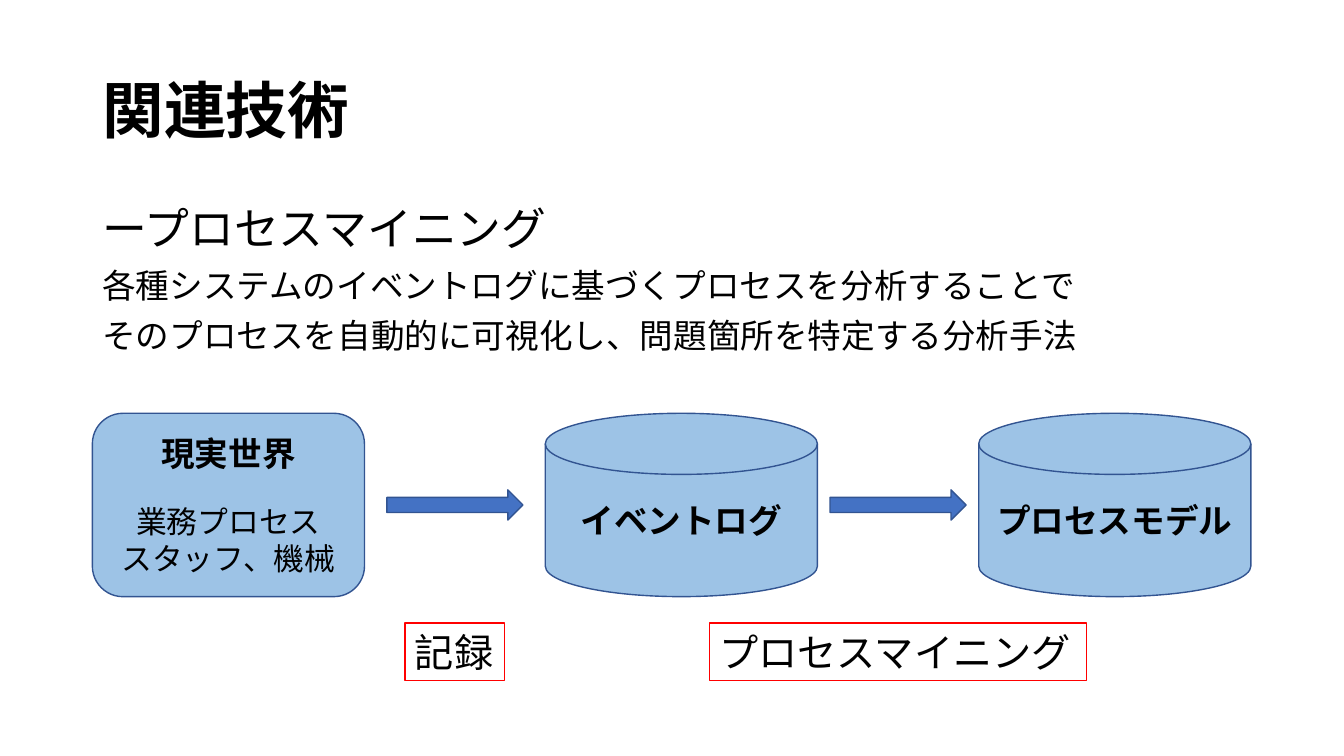
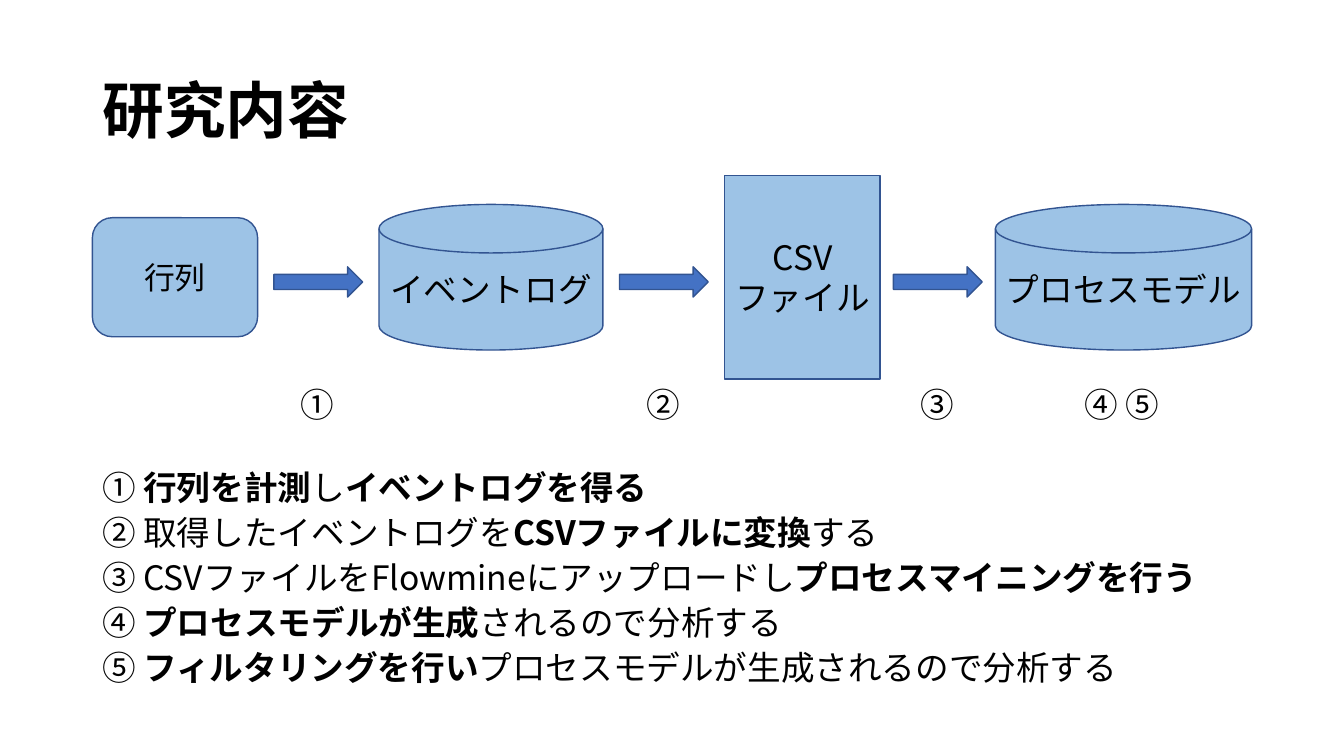
from dataclasses import dataclass

from lxml import etree
from pptx import Presentation
from pptx.dml.color import RGBColor
from pptx.enum.shapes import MSO_SHAPE as Shape
from pptx.enum.text import MSO_ANCHOR as Anchor, MSO_AUTO_SIZE as AutoSize, PP_ALIGN as Align
from pptx.oxml.ns import qn
from pptx.util import Pt


@dataclass(frozen=True)
class Theme:
    font: str = "Noto Sans CJK JP"
    ink: RGBColor = RGBColor(0x00, 0x00, 0x00)
    paper: RGBColor = RGBColor(0xFF, 0xFF, 0xFF)
    node: RGBColor = RGBColor(0x9D, 0xC3, 0xE6)
    arrow: RGBColor = RGBColor(0x44, 0x72, 0xC4)
    outline: RGBColor = RGBColor(0x32, 0x54, 0x91)
    accent: RGBColor = RGBColor(0xFF, 0x00, 0x00)
    title: int = 44
    heading: int = 32
    tag: int = 28
    body: int = 24
    small: int = 22


@dataclass(frozen=True)
class Node:
    kind: Shape
    left: float
    width: float
    height: float
    lines: tuple
    size: int = Theme.body


class Builder:
    """Holds the theme, the deck and the current page."""

    LEFT, WIDTH = 66, 828
    ARROW_HEIGHT = 21.6

    def __init__(self, theme):
        self.theme = theme
        self.deck = Presentation()
        self.deck.slide_width, self.deck.slide_height = Pt(960), Pt(540)
        self.page = None

    def start(self, title):
        self.page = self.deck.slides.add_slide(self.deck.slide_layouts[5])
        box = self.page.shapes.title
        box.left, box.top = Pt(self.LEFT), Pt(28.8)
        box.width, box.height = Pt(self.WIDTH), Pt(104.4)
        box.text_frame.vertical_anchor = Anchor.MIDDLE
        box.text_frame.auto_size = AutoSize.NONE
        self.fill_text(box.text_frame, [f"*{title}*"], self.theme.title, spacing=0.9)

    def fill_text(self, frame, lines, size, align=Align.LEFT, spacing=None):
        """Fill a frame with one paragraph a line; text between asterisks is bold."""
        for number, line in enumerate(lines):
            para = frame.add_paragraph() if number else frame.paragraphs[0]
            para.alignment = align
            para.line_spacing = spacing
            for index, part in enumerate(line.split("*")):
                if part:
                    span = para.add_run()
                    span.text = part
                    self.style(span, size, index % 2 == 1)
        return frame.paragraphs

    def style(self, span, size, bold):
        font = span.font
        font.name, font.size, font.bold = self.theme.font, Pt(size), bold
        font.color.rgb = self.theme.ink
        east_asian = etree.SubElement(span._r.get_or_add_rPr(), qn("a:ea"))
        east_asian.set("typeface", self.theme.font)

    def text(self, left, top, width, height, lines, size, wrap=True, spacing=None):
        box = self.page.shapes.add_textbox(Pt(left), Pt(top), Pt(width), Pt(height))
        box.text_frame.word_wrap = wrap
        return self.fill_text(box.text_frame, lines, size, spacing=spacing)

    def shape(self, kind, left, top, width, height, fill, line):
        shape = self.page.shapes.add_shape(kind, Pt(left), Pt(top), Pt(width), Pt(height))
        shape.shadow.inherit = False
        shape.fill.solid()
        shape.fill.fore_color.rgb = fill
        shape.line.color.rgb = line
        shape.line.width = Pt(1)
        shape.text_frame.vertical_anchor = Anchor.MIDDLE
        return shape

    def tag(self, center, width, text):
        box = self.shape(Shape.RECTANGLE, center - width / 2, 445, width, 41,
                         self.theme.paper, self.theme.accent)
        box.text_frame.word_wrap = False
        self.fill_text(box.text_frame, [text], self.theme.tag)

    def label(self, center, width, text):
        self.text(center - width / 2, 270.6, width, 36, [text], self.theme.body, wrap=False)

    def flow(self, nodes, middle, arrow_width, arrow_middle):
        """Draw a row of nodes with an arrow centred in each gap.

        Returns the paragraphs of each node and the centre of each arrow.
        """
        theme = self.theme
        texts = []
        for node in nodes:
            shape = self.shape(node.kind, node.left, middle - node.height / 2,
                               node.width, node.height, theme.node, theme.outline)
            texts.append(self.fill_text(shape.text_frame, node.lines, node.size, Align.CENTER))
        centers = [(a.left + a.width + b.left) / 2 for a, b in zip(nodes, nodes[1:])]
        for center in centers:
            self.shape(Shape.RIGHT_ARROW, center - arrow_width / 2,
                       arrow_middle - self.ARROW_HEIGHT / 2, arrow_width,
                       self.ARROW_HEIGHT, theme.arrow, theme.outline)
        return texts, centers


def related_work(builder):
    theme = builder.theme
    builder.start("関連技術")

    # Description
    paras = builder.text(builder.LEFT, 144, builder.WIDTH, 140, [
        "ープロセスマイニング",
        "各種システムのイベントログに基づくプロセスを分析することで",
        "そのプロセスを自動的に可視化し、問題箇所を特定する分析手法",
    ], theme.body, spacing=0.9)
    for para in paras:
        para.space_before = Pt(10)
    paras[0].runs[0].font.size = Pt(theme.heading)

    # Flow from the real world to the model
    size = 194.4, 131
    texts, centers = builder.flow([
        Node(Shape.ROUNDED_RECTANGLE, builder.LEFT, *size,
             ("*現実世界*", "業務プロセス", "スタッフ、機械"), theme.small),
        Node(Shape.FLOWCHART_MAGNETIC_DISK, 389.5, *size, ("*イベントログ*",)),
        Node(Shape.FLOWCHART_MAGNETIC_DISK, 699.1, *size, ("*プロセスモデル*",)),
    ], middle=360.7, arrow_width=97.2, arrow_middle=360.7)
    world = texts[0]
    world[0].runs[0].font.size = Pt(theme.body)
    world[1].space_before = Pt(21)

    # Names of the two steps
    for center, width, name in zip(centers, (71.3, 269.3), ("記録", "プロセスマイニング")):
        builder.tag(center, width, name)


def research_content(builder):
    theme = builder.theme
    builder.start("研究内容")

    # Flow from the queue to the model
    nodes = [
        Node(Shape.ROUNDED_RECTANGLE, builder.LEFT, 118, 85, ("行列",), theme.small),
        Node(Shape.FLOWCHART_MAGNETIC_DISK, 270.7, 160, 104, ("イベントログ",)),
        Node(Shape.RECTANGLE, 517.7, 111, 145.6, ("CSV", "ファイル")),
        Node(Shape.FLOWCHART_MAGNETIC_DISK, 711, 183, 104, ("プロセスモデル",)),
    ]
    _, centers = builder.flow(nodes, middle=198, arrow_width=63.4, arrow_middle=201.4)

    # Step numbers under the arrows and the model
    for center, mark in zip(centers, "①②③"):
        builder.label(center, 38.9, mark)
    builder.label(nodes[-1].left + nodes[-1].width / 2, 69.8, "④ ⑤")

    # Steps
    builder.text(builder.LEFT, 327, 832, 168, [
        "① *行列を計測*し*イベントログを得る*",
        "② 取得したイベントログを*CSVファイルに変換*する",
        "③ CSVファイルをFlowmineにアップロードし*プロセスマイニングを行う*",
        "④ *プロセスモデルが生成*されるので分析する",
        "⑤ *フィルタリングを行い*プロセスモデルが生成されるので分析する",
    ], theme.body, wrap=False, spacing=Pt(32))


def main():
    builder = Builder(Theme())
    related_work(builder)
    research_content(builder)
    builder.deck.save("out.pptx")


if __name__ == "__main__":
    main()
